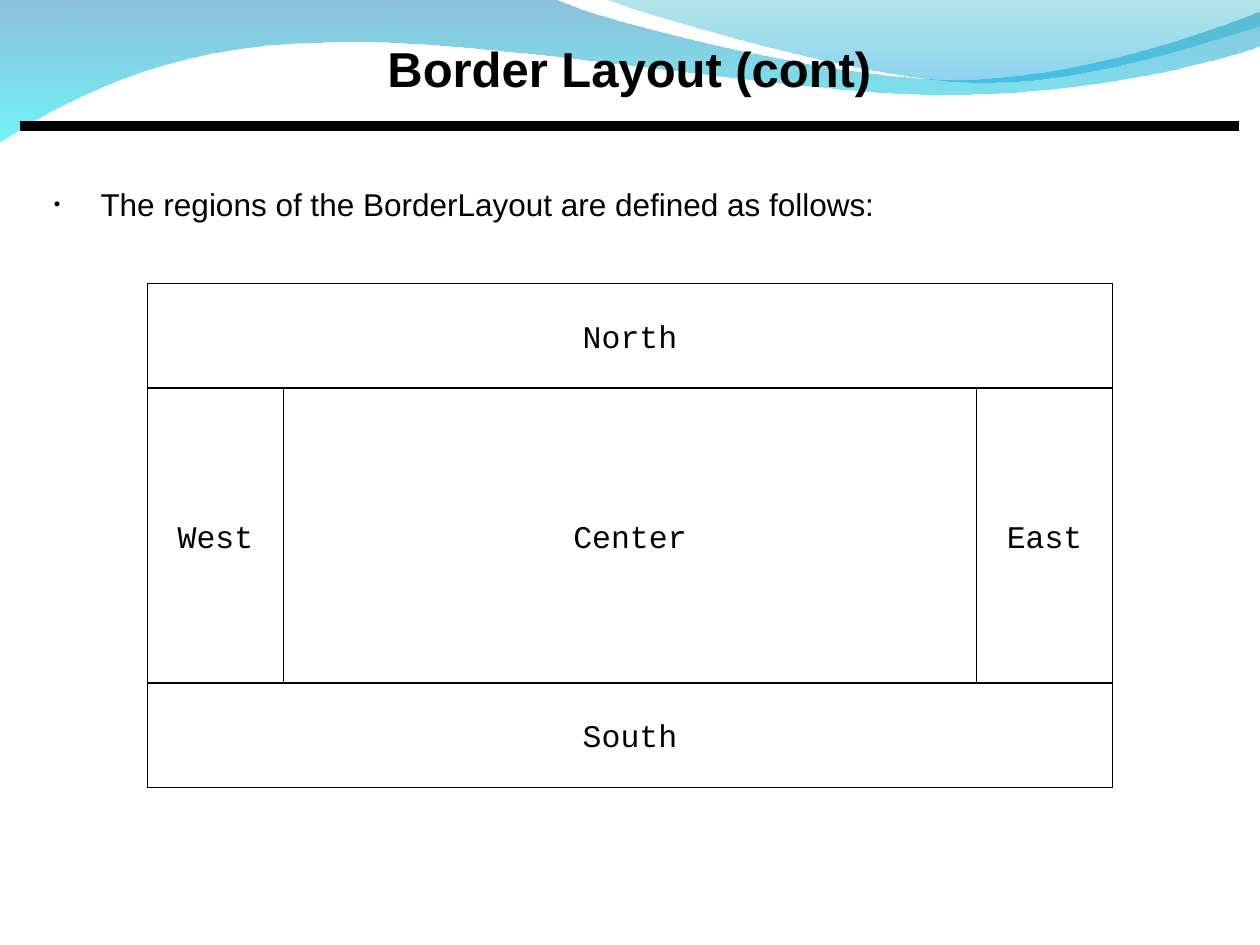
"""Build the Border Layout slide showing the five regions of the layout."""
from lxml import etree
from pptx import Presentation
from pptx.dml.color import RGBColor
from pptx.enum.shapes import MSO_CONNECTOR, MSO_SHAPE
from pptx.enum.text import MSO_ANCHOR, PP_ALIGN
from pptx.oxml import parse_xml
from pptx.oxml.ns import nsdecls, qn
from pptx.util import Inches, Pt

COLORS = {
    "ink": "000000", "paper": "FFFFFF",
    "deep": "0079AF", "cyan": "00EBF8", "teal": "00ADB6", "sky": "009BE5",
}


def bend_lines(outline, segments):
    """Merge the three lines drawn for each cubic segment into one Bézier curve."""
    lines = iter(list(outline.iter(qn("a:lnTo"))))
    for segment in segments:
        first = next(lines)
        if len(segment) == 6:
            first.tag = qn("a:cubicBezTo")
            for line in (next(lines), next(lines)):
                first.append(line[0])
                line.getparent().remove(line)


def style_text(paragraph, size, font_name, alignment, bold=False):
    """Set the alignment and font of a paragraph."""
    paragraph.alignment = alignment
    paragraph.font.size = Pt(size)
    paragraph.font.name = font_name
    paragraph.font.bold = bold
    paragraph.font.color.rgb = RGBColor.from_string(COLORS["ink"])


prs = Presentation()
prs.slide_width, prs.slide_height = Inches(10), Inches(7.5)
slide = prs.slides.add_slide(prs.slide_layouts[5])

title = slide.shapes.title
title.left, title.top = Inches(0.83), Inches(0.25)
title.width, title.height = Inches(8.33), Inches(0.57)
title.text_frame.text = "Border Layout (cont)"
title.text_frame.vertical_anchor = MSO_ANCHOR.MIDDLE
style_text(title.text_frame.paragraphs[0], 28, "Arial", PP_ALIGN.CENTER, bold=True)

waves = [
    ((0, -0.01),
     [(4.4, -0.01), (4.76, 0.17, 6.64, 0.63, 7.58, 0.63), (8.53, 0.63, 9.58, 0.26, 10, 0.09),
      (10.01, 0.36), (9.83, 0.44, 8.7, 0.76, 7.46, 0.75), (6.22, 0.75, 3.82, 0.28, 2.57, 0.34),
      (1.29, 0.35, 0.46, 0.83, -0.01, 1.13)],
     (("deep", 45), ("cyan", 55))),
    ((4.79, -0.01),
     [(5.09, 0.11, 6.82, 0.62, 7.69, 0.65), (8.56, 0.69, 9.61, 0.32, 10, 0.21), (10, 0)],
     (("teal", 30), ("sky", 45))),
]
for start, segments, stops in waves:
    builder = slide.shapes.build_freeform(*map(Inches, start))
    builder.add_line_segments(
        [(Inches(x), Inches(y)) for segment in segments
         for x, y in zip(segment[::2], segment[1::2])], close=True)
    wave = builder.convert_to_shape()
    bend_lines(wave.element, segments)
    wave.shadow.inherit = False
    wave.line.fill.background()
    stop_xml = "".join(
        f'<a:gs pos="{position}"><a:srgbClr val="{COLORS[color]}">'
        f'<a:alpha val="{opacity * 1000}"/></a:srgbClr></a:gs>'
        for position, (color, opacity) in zip((0, 100000), stops))
    gradient = parse_xml(
        f'<a:gradFill {nsdecls("a")} rotWithShape="1"><a:gsLst>{stop_xml}</a:gsLst>'
        '<a:lin ang="5400000" scaled="0"/></a:gradFill>')
    wave.element.spPr.find(qn("a:custGeom")).addnext(gradient)
    title.element.addprevious(wave.element)

title_rule = slide.shapes.add_connector(
    MSO_CONNECTOR.STRAIGHT, Inches(0.16), Inches(1), Inches(9.83), Inches(1))
title_rule.line.color.rgb = RGBColor.from_string(COLORS["ink"])
title_rule.line.width = Pt(6)
etree.SubElement(title_rule.element.spPr, qn("a:effectLst"))

intro = slide.shapes.add_textbox(Inches(0.33), Inches(1.42), Inches(9.17), Inches(0.76))
intro.text_frame.word_wrap = True
intro_line = intro.text_frame.paragraphs[0]
intro_line.text = "The regions of the BorderLayout are defined as follows:"
bullet_props = intro_line._p.get_or_add_pPr()
bullet_props.set("marL", str(Inches(0.37)))
bullet_props.set("indent", str(-Inches(0.37)))
bullet_color = etree.SubElement(bullet_props, qn("a:buClr"))
etree.SubElement(bullet_color, qn("a:srgbClr"), val=COLORS["ink"])
etree.SubElement(bullet_props, qn("a:buSzPct"), val="59000")
etree.SubElement(bullet_props, qn("a:buFont"), typeface="Arial")
etree.SubElement(bullet_props, qn("a:buChar"), char="•")
style_text(intro_line, 18, "Arial", PP_ALIGN.LEFT)

left, top, width, height = 1.17, 2.25, 7.66, 4
band, side = 0.83, 1.08
middle = height - 2 * band
regions = [
    ("Center", left, top, width, height),
    ("North", left, top, width, band),
    ("South", left, top + height - band, width, band),
    ("West", left, top + band, side, middle),
    ("East", left + width - side, top + band, side, middle),
]
for name, *box in regions:
    region = slide.shapes.add_shape(MSO_SHAPE.RECTANGLE, *map(Inches, box))
    region.shadow.inherit = False
    region.fill.solid()
    region.fill.fore_color.rgb = RGBColor.from_string(COLORS["paper"])
    region.line.color.rgb = RGBColor.from_string(COLORS["ink"])
    region.line.width = Pt(0.75)
    region.text_frame.text = name
    region.text_frame.vertical_anchor = MSO_ANCHOR.MIDDLE
    style_text(region.text_frame.paragraphs[0], 18, "Courier New", PP_ALIGN.CENTER)

prs.save("out.pptx")
